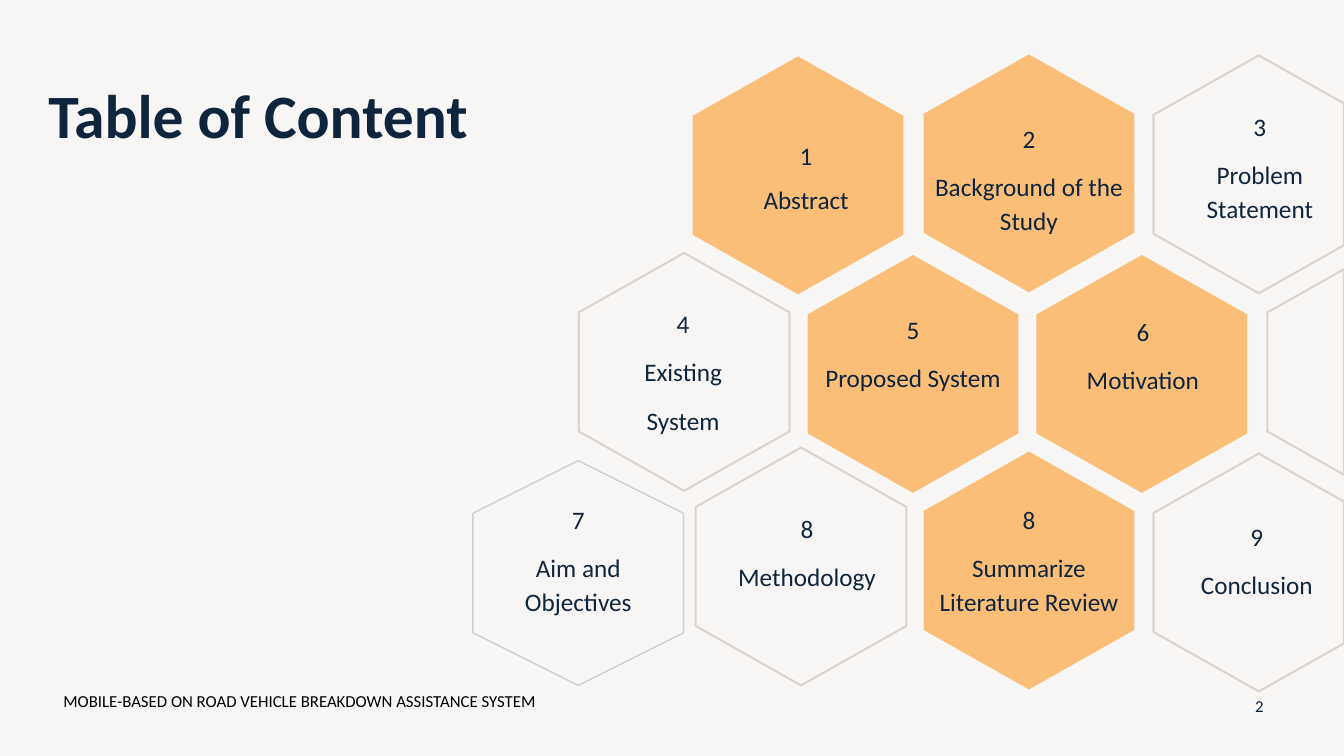
from dataclasses import dataclass

from pptx import Presentation
from pptx import util as u
from pptx.dml.color import RGBColor
from pptx.enum import shapes, text


@dataclass(frozen=True)
class Theme:
    font: str = "Calibri"
    background: str = "F8F6F5"
    navy: str = "0F253E"
    black: str = "000000"
    orange: str = "FABE79"
    beige: str = "DCD3CC"
    grey: str = "D0CECE"
    title_size: int = 44
    label_size: int = 18
    footer_size: int = 12


SLIDE_WIDTH, SLIDE_HEIGHT = 13.33, 7.5
HEX_WIDTH, HEX_HEIGHT, HEX_SHOULDER = 2.09, 2.36, 0.59
LABEL_HEIGHT = 1.2

FILLED_CELLS = [(6.87, 0.56), (9.16, 0.54), (8.01, 2.53), (9.16, 4.48), (10.28, 2.53)]
OUTLINED_CELLS = [(11.44, 0.55), (12.57, 2.51), (11.44, 4.5), (5.74, 2.51), (6.9, 4.44)]

TOPICS = [
    (6.95, 1.76, 1.0, ["1", "Abstract"]),
    (9.16, 1.76, 1.13, ["2", "Background of the Study"]),
    (11.45, 1.64, 1.13, ["3", "Problem Statement"]),
    (5.73, 3.67, 1.13, ["4", "Existing", "System"]),
    (8.01, 3.49, 1.13, ["5", "Proposed System"]),
    (10.29, 3.51, 1.13, ["6", "Motivation"]),
    (4.69, 5.54, 1.13, ["7", "Aim and Objectives"]),
    (6.96, 5.46, 1.13, ["8", "Methodology"]),
    (9.16, 5.54, 1.13, ["8", "Summarize Literature Review"]),
    (11.42, 5.54, 1.13, ["9", "Conclusion"]),
]


def clip_at_slide_edge(points):
    clipped = []
    for (x1, y1), (x2, y2) in zip(points, points[1:] + points[:1]):
        if x1 <= SLIDE_WIDTH:
            clipped.append((x1, y1))
        if (x1 <= SLIDE_WIDTH) != (x2 <= SLIDE_WIDTH):
            share = (SLIDE_WIDTH - x1) / (x2 - x1)
            clipped.append((SLIDE_WIDTH, y1 + share * (y2 - y1)))
    return clipped


class ContentSlide:
    def __init__(self, presentation, theme):
        self.theme = theme
        self.slide = presentation.slides.add_slide(presentation.slide_layouts[5])
        fill = self.slide.background.fill
        fill.solid()
        fill.fore_color.rgb = RGBColor.from_string(theme.background)

    def paint(self, shape, fill=None, line=None, line_width=1.5):
        shape.shadow.inherit = False
        if fill:
            shape.fill.solid()
            shape.fill.fore_color.rgb = RGBColor.from_string(fill)
        else:
            shape.fill.background()
        if line:
            shape.line.color.rgb = RGBColor.from_string(line)
            shape.line.width = u.Pt(line_width)
        else:
            shape.line.fill.background()

    def set_text(self, shape, lines, size, color, align=text.PP_ALIGN.CENTER,
                 anchor=text.MSO_ANCHOR.MIDDLE, spacing=1.0, bold=False):
        frame = shape.text_frame
        frame.word_wrap = True
        frame.auto_size = text.MSO_AUTO_SIZE.NONE
        frame.vertical_anchor = anchor
        for index, line in enumerate(lines):
            paragraph = frame.add_paragraph() if index else frame.paragraphs[0]
            paragraph.alignment = align
            paragraph.line_spacing = spacing
            paragraph.space_before = u.Pt(10 if index else 0)
            run = paragraph.add_run()
            run.text = line
            run.font.name = self.theme.font
            run.font.size = u.Pt(size)
            run.font.bold = bold
            run.font.color.rgb = RGBColor.from_string(color)

    def title(self, words, left, top, width, height):
        shape = self.slide.shapes.title
        shape.left, shape.top = u.Inches(left), u.Inches(top)
        shape.width, shape.height = u.Inches(width), u.Inches(height)
        self.set_text(shape, [words], self.theme.title_size, self.theme.navy,
                      align=text.PP_ALIGN.LEFT, spacing=0.9, bold=True)

    def text_box(self, lines, left, top, width, height, size, color, **style):
        shape = self.slide.shapes.add_textbox(
            u.Inches(left), u.Inches(top), u.Inches(width), u.Inches(height))
        self.set_text(shape, lines, size, color, **style)

    def cell(self, left, top, **paint):
        middle, right = left + HEX_WIDTH / 2, left + HEX_WIDTH
        upper, bottom = top + HEX_SHOULDER, top + HEX_HEIGHT
        lower = bottom - HEX_SHOULDER
        corners = clip_at_slide_edge([
            (left, upper), (middle, top), (right, upper),
            (right, lower), (middle, bottom), (left, lower)])
        points = [(u.Inches(x), u.Inches(y)) for x, y in corners]
        builder = self.slide.shapes.build_freeform(*points[0])
        builder.add_line_segments(points[1:], close=True)
        self.paint(builder.convert_to_shape(), **paint)

    def turned_hexagon(self, left, top, width, height, line):
        shape = self.slide.shapes.add_shape(
            shapes.MSO_SHAPE.HEXAGON,
            u.Inches(left), u.Inches(top), u.Inches(width), u.Inches(height))
        shape.rotation = 90
        self.paint(shape, line=line, line_width=1)

    def topic(self, left, middle, spacing, lines):
        self.text_box(lines, left, middle - LABEL_HEIGHT / 2, HEX_WIDTH, LABEL_HEIGHT,
                      self.theme.label_size, self.theme.navy, spacing=spacing)


def main():
    theme = Theme()
    presentation = Presentation()
    presentation.slide_width = u.Inches(SLIDE_WIDTH)
    presentation.slide_height = u.Inches(SLIDE_HEIGHT)
    contents = ContentSlide(presentation, theme)
    contents.title("Table of Content", 0.38, 0.23, 4.65, 1.9)
    for left, top in FILLED_CELLS:
        contents.cell(left, top, fill=theme.orange)
    for left, top in OUTLINED_CELLS:
        contents.cell(left, top, line=theme.beige)
    contents.turned_hexagon(4.62, 4.64, 2.23, HEX_WIDTH, theme.grey)
    for topic in TOPICS:
        contents.topic(*topic)
    contents.text_box(["MOBILE-BASED ON ROAD VEHICLE BREAKDOWN ASSISTANCE SYSTEM"],
                      0.53, 6.8, 5.69, 0.4, theme.footer_size, theme.black,
                      align=text.PP_ALIGN.LEFT, anchor=text.MSO_ANCHOR.TOP)
    contents.text_box(["2"], 12.24, 6.8, 0.5, 0.4, theme.footer_size, theme.navy)
    presentation.save("out.pptx")


if __name__ == "__main__":
    main()
